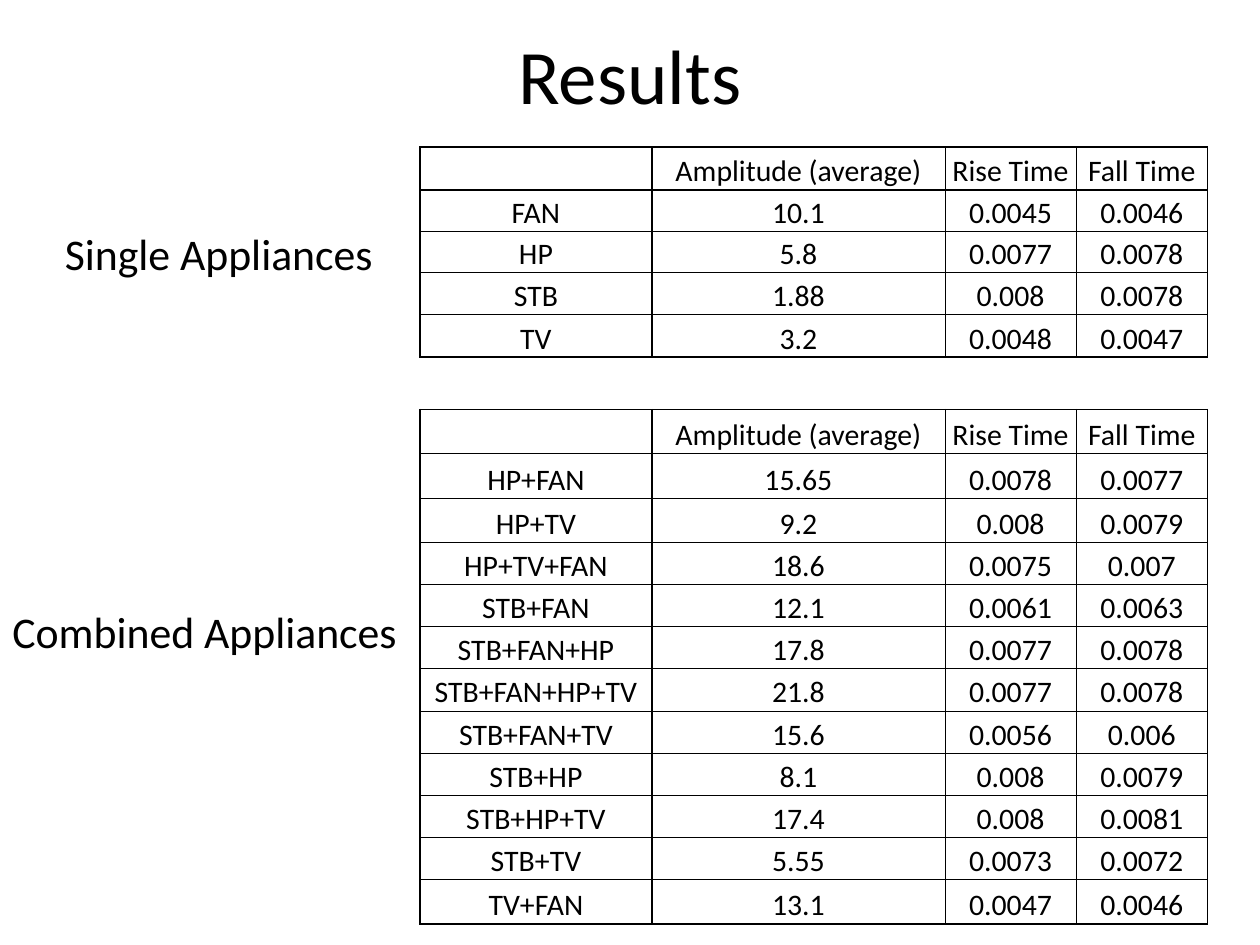
from lxml import etree
from pptx import Presentation
from pptx.dml.color import RGBColor
from pptx.enum.text import MSO_ANCHOR, PP_ALIGN
from pptx.oxml.ns import qn
from pptx.util import Pt

LEFT, MID = PP_ALIGN.LEFT, PP_ALIGN.CENTER
TOP, CENTER, BASE = MSO_ANCHOR.TOP, MSO_ANCHOR.MIDDLE, MSO_ANCHOR.BOTTOM
BLACK = "000000"
THICK, THIN = 1, 0.5
WIDTHS = [132.5, 167.5, 75, 75]
HEAD = ["", "Amplitude (average)", "Rise Time", "Fall Time"]
SINGLE = [
    ["FAN", "10.1", "0.0045", "0.0046"],
    ["HP", "5.8", "0.0077", "0.0078"],
    ["STB", "1.88", "0.008", "0.0078"],
    ["TV", "3.2", "0.0048", "0.0047"],
]
MIXED = [
    ["HP+FAN", "15.65", "0.0078", "0.0077"],
    ["HP+TV", "9.2", "0.008", "0.0079"],
    ["HP+TV+FAN", "18.6", "0.0075", "0.007"],
    ["STB+FAN", "12.1", "0.0061", "0.0063"],
    ["STB+FAN+HP", "17.8", "0.0077", "0.0078"],
    ["STB+FAN+HP+TV", "21.8", "0.0077", "0.0078"],
    ["STB+FAN+TV", "15.6", "0.0056", "0.006"],
    ["STB+HP", "8.1", "0.008", "0.0079"],
    ["STB+HP+TV", "17.4", "0.008", "0.0081"],
    ["STB+TV", "5.55", "0.0073", "0.0072"],
    ["TV+FAN", "13.1", "0.0047", "0.0046"],
]


def color(code):
    return RGBColor.from_string(code)


def write(frame, text, size=17, align=MID, tint=BLACK):
    para = frame.paragraphs[0]
    para.alignment = align
    run = para.add_run()
    run.text = text
    run.font.name = "Calibri"
    run.font.size = Pt(size)
    run.font.color.rgb = color(tint)


def label(slide, box, text, anchor=TOP, wrap=True, **style):
    frame = slide.shapes.add_textbox(*map(Pt, box)).text_frame
    frame.word_wrap = wrap
    frame.vertical_anchor = anchor
    write(frame, text, **style)


def border(cell, sides):
    props = cell._tc.get_or_add_tcPr()
    for index, (side, width) in enumerate(sides.items()):
        line = etree.Element(qn("a:ln" + side), w=str(Pt(width)))
        fill = etree.SubElement(line, qn("a:solidFill"))
        etree.SubElement(fill, qn("a:srgbClr"), val=BLACK)
        props.insert(index, line)


def grid(slide, box, data, heights):
    rows = [HEAD] + data
    last, end = len(rows) - 1, len(HEAD) - 1
    table = slide.shapes.add_table(len(rows), len(HEAD), *map(Pt, box)).table
    table.first_row = table.horz_banding = False
    for column, width in zip(table.columns, WIDTHS):
        column.width = Pt(width)
    for r, (row, height) in enumerate(zip(rows, heights)):
        table.rows[r].height = Pt(height)
        for c, text in enumerate(row):
            cell = table.cell(r, c)
            cell.margin_left = cell.margin_right = cell.margin_top = Pt(0.7)
            cell.margin_bottom = Pt(0)
            cell.vertical_anchor = BASE
            cell.fill.background()
            write(cell.text_frame, text)
            border(cell, {
                "L": THICK if c < 2 else THIN,
                "R": THICK if c in (0, end) else THIN,
                "T": THICK if r < 2 else THIN,
                "B": THICK if r in (0, last) else THIN,
            })


def main():
    deck = Presentation()
    deck.slide_width, deck.slide_height = Pt(720), Pt(540)
    slide = deck.slides.add_slide(deck.slide_layouts[6])
    label(slide, (240, 12, 240, 60), "Results", anchor=CENTER, size=44)
    grid(slide, (240, 84, 450, 120), SINGLE, [24.5] + [23.7] * 3 + [24.5])
    grid(slide, (240, 234, 450, 294), MIXED, [25.3] * 3 + [24.1] * 8 + [25.3])
    label(slide, (30, 126, 228, 37.5), "Single Appliances", size=25, align=LEFT)
    label(slide, (0, 342, 237, 37.5), "Combined Appliances", wrap=False,
          size=25, align=LEFT)
    deck.save("out.pptx")


if __name__ == "__main__":
    main()
